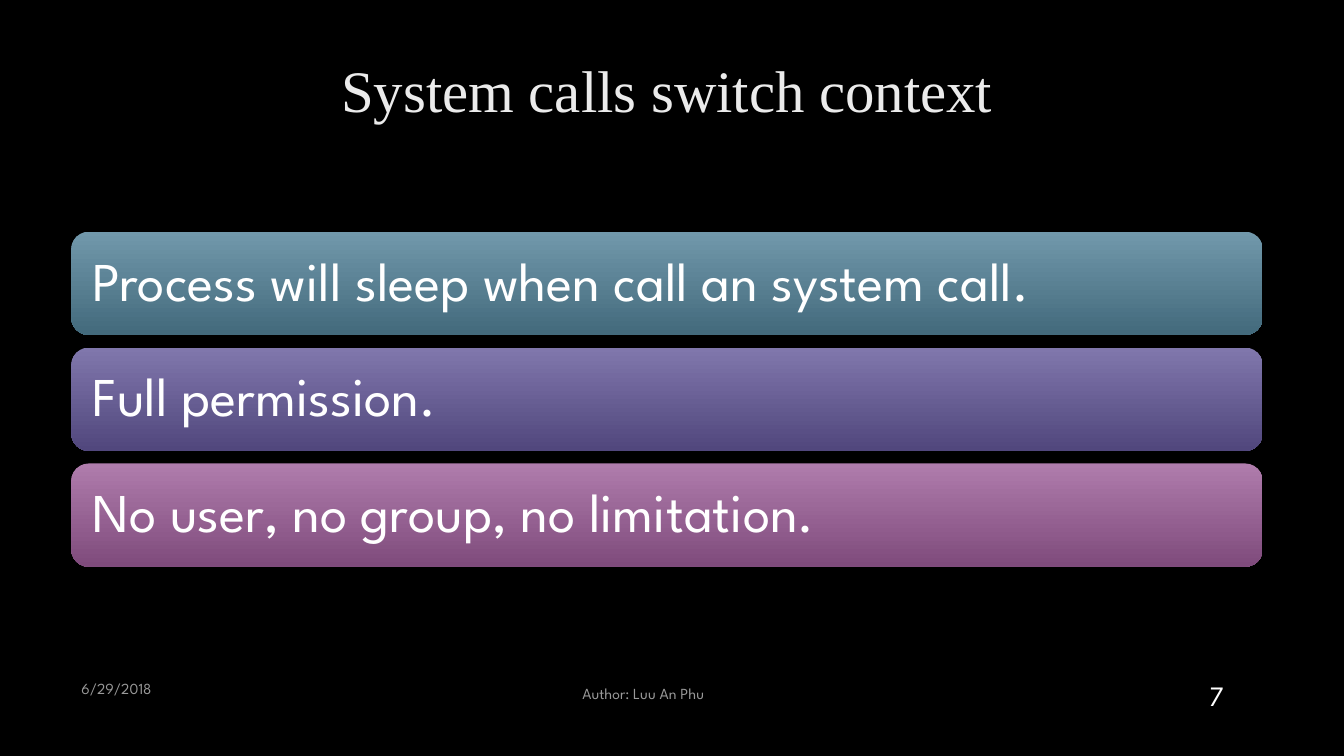
from lxml.etree import SubElement
from pptx import Presentation
from pptx.dml.color import RGBColor
from pptx.enum.shapes import MSO_SHAPE
from pptx.enum.text import MSO_ANCHOR, PP_ALIGN
from pptx.oxml.ns import qn
from pptx.util import Cm, Pt

BLACK = RGBColor(0x00, 0x00, 0x00)
WHITE = RGBColor(0xFF, 0xFF, 0xFF)
TITLE_GREY = RGBColor(0xEB, 0xEB, 0xEB)
TEAL = (RGBColor(0x71, 0x98, 0xAB), RGBColor(0x43, 0x6A, 0x7C))
VIOLET = (RGBColor(0x80, 0x77, 0xAC), RGBColor(0x51, 0x47, 0x7D))
PLUM = (RGBColor(0xAF, 0x7C, 0xAC), RGBColor(0x7F, 0x4B, 0x7C))

TITLE = "System calls switch context"
POINTS = [
    ("Process will sleep when call an system call.", TEAL),
    ("Full permission.", VIOLET),
    ("No user, no group, no limitation.", PLUM),
]
FOOTERS = [
    ("Author: Luu An Phu", 14.43, 4.75, MSO_ANCHOR.BOTTOM),
    ("6/29/2018", 1.8, 2.74, MSO_ANCHOR.TOP),
]
PAGE_NUMBER = "7"

BODY_FONT = "League Spartan"
LEFT, WIDTH = 1.8, 30.02
BAR_TOP, BAR_HEIGHT, BAR_STEP = 5.84, 2.6, 2.92
BAR_INSET = Cm(0.41)


def write(s, text, size, font, color, align, anchor):
    tf = s.text_frame
    tf.word_wrap = True
    tf.vertical_anchor = anchor
    p = tf.paragraphs[0]
    p.text = text
    p.alignment = align
    p.font.size = Pt(size)
    p.font.name = font
    p.font.color.rgb = color
    return tf


def add_text(left, top, width, height, *style):
    s = slide.shapes.add_textbox(Cm(left), Cm(top), Cm(width), Cm(height))
    return write(s, *style)


prs = Presentation()
prs.slide_width, prs.slide_height = Cm(33.87), Cm(19.05)
slide = prs.slides.add_slide(prs.slide_layouts[6])
slide.background.fill.solid()
slide.background.fill.fore_color.rgb = BLACK

tf = add_text(LEFT, 1.07, WIDTH, 2.54, TITLE, 42, "Times New Roman",
              TITLE_GREY, PP_ALIGN.CENTER, MSO_ANCHOR.TOP)
tf.margin_top = Cm(0.28)

for i, (text, colors) in enumerate(POINTS):
    s = slide.shapes.add_shape(MSO_SHAPE.ROUNDED_RECTANGLE, Cm(LEFT),
                               Cm(BAR_TOP + i * BAR_STEP), Cm(WIDTH), Cm(BAR_HEIGHT))
    s.shadow.inherit = False
    s.line.fill.background()
    s.fill.gradient()
    s.fill.gradient_angle = 270
    for stop, color in zip(s.fill.gradient_stops, colors):
        stop.color.rgb = color
    tf = write(s, text, 39, BODY_FONT, WHITE, PP_ALIGN.LEFT, MSO_ANCHOR.MIDDLE)
    tf.margin_left = tf.margin_right = tf.margin_top = tf.margin_bottom = BAR_INSET
    tf.paragraphs[0].line_spacing = 0.9

for text, left, width, anchor in FOOTERS:
    tf = add_text(left, 16.99, width, 0.84, text, 11, BODY_FONT, WHITE,
                  PP_ALIGN.LEFT, anchor)
    for color in tf.paragraphs[0]._p.iter(qn("a:srgbClr")):
        SubElement(color, qn("a:alpha"), val="60000")

add_text(29.49, 16.76, 2.34, 1.5, PAGE_NUMBER, 20, BODY_FONT, WHITE,
         PP_ALIGN.CENTER, MSO_ANCHOR.MIDDLE)

prs.save("out.pptx")
